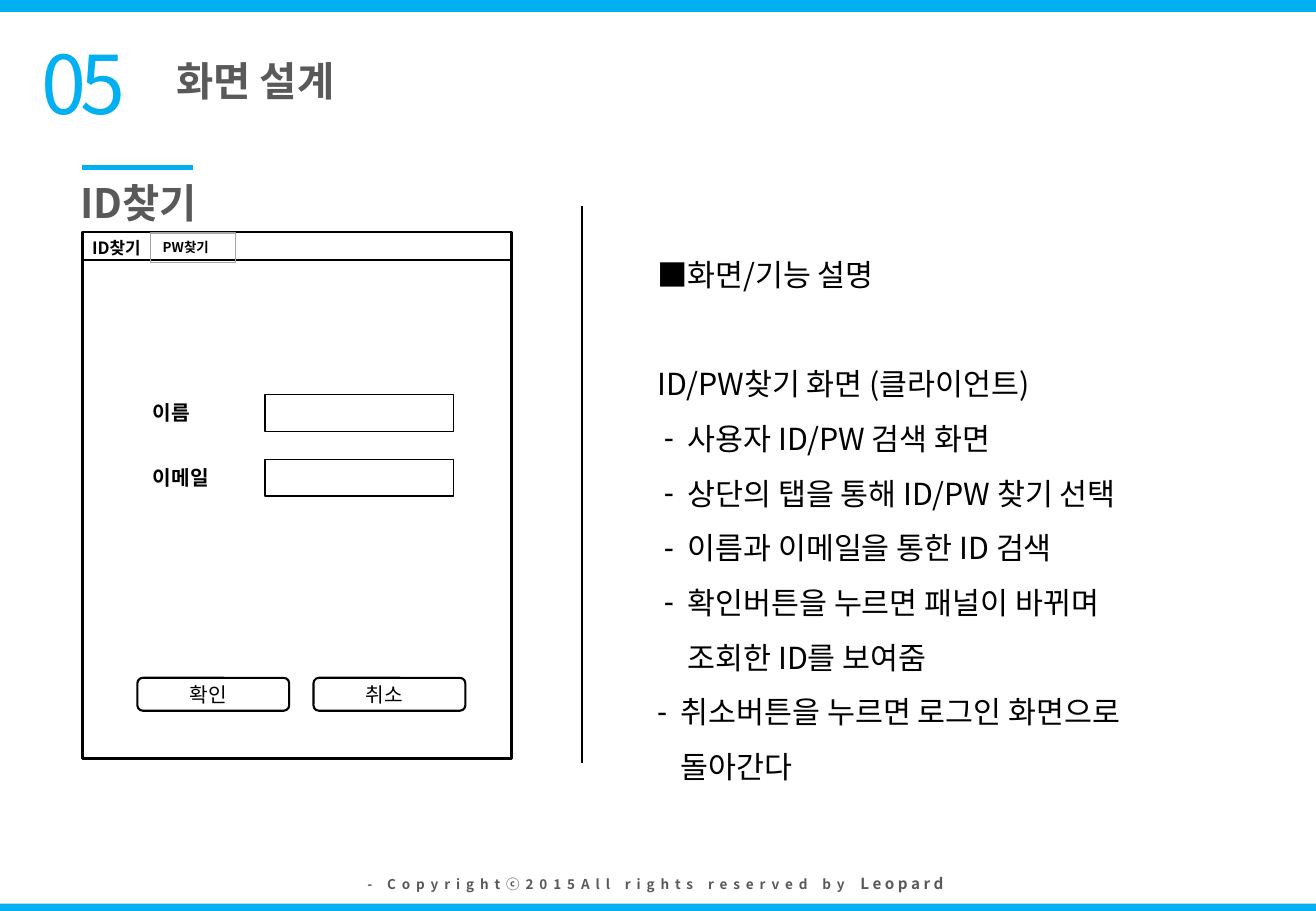
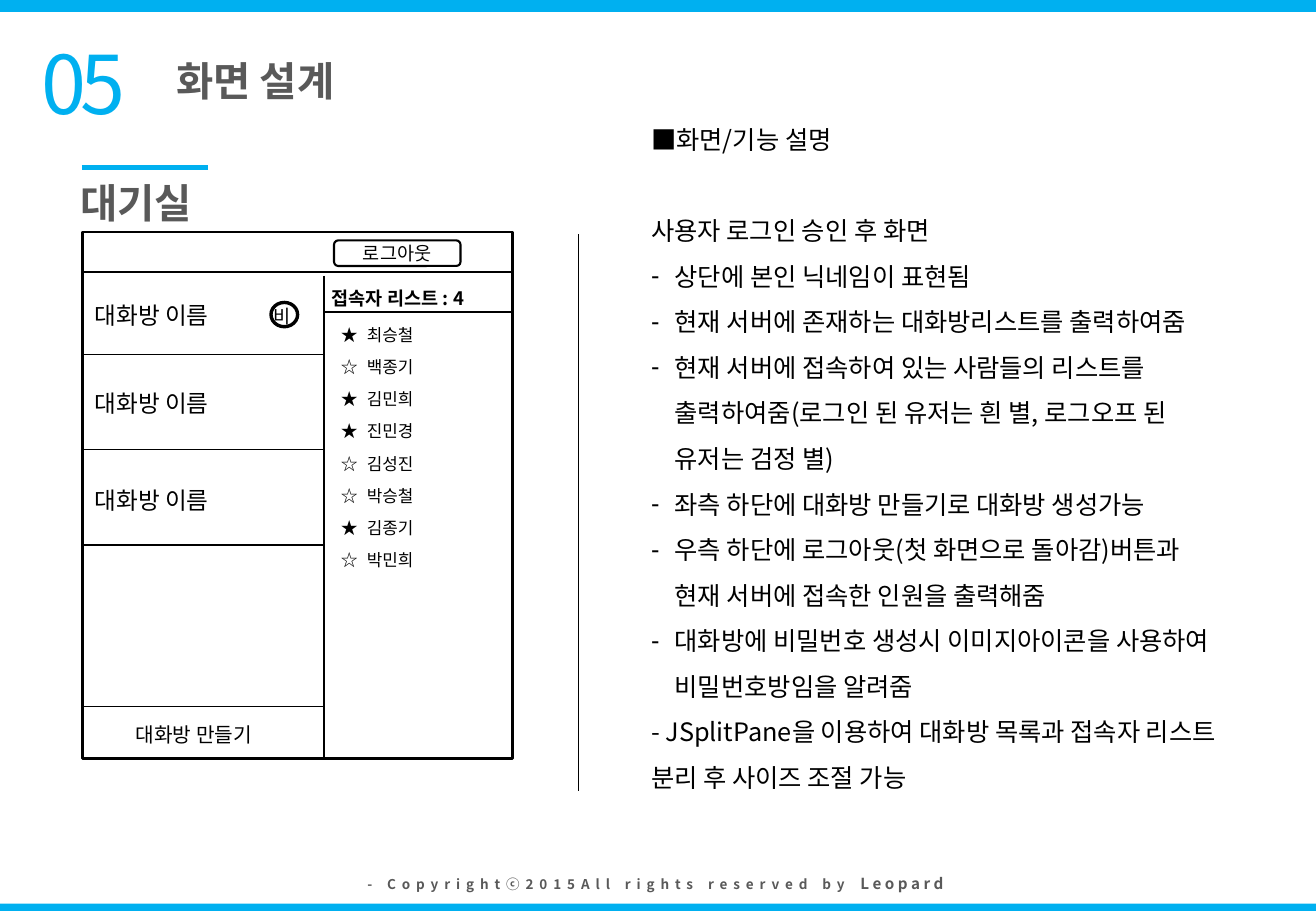
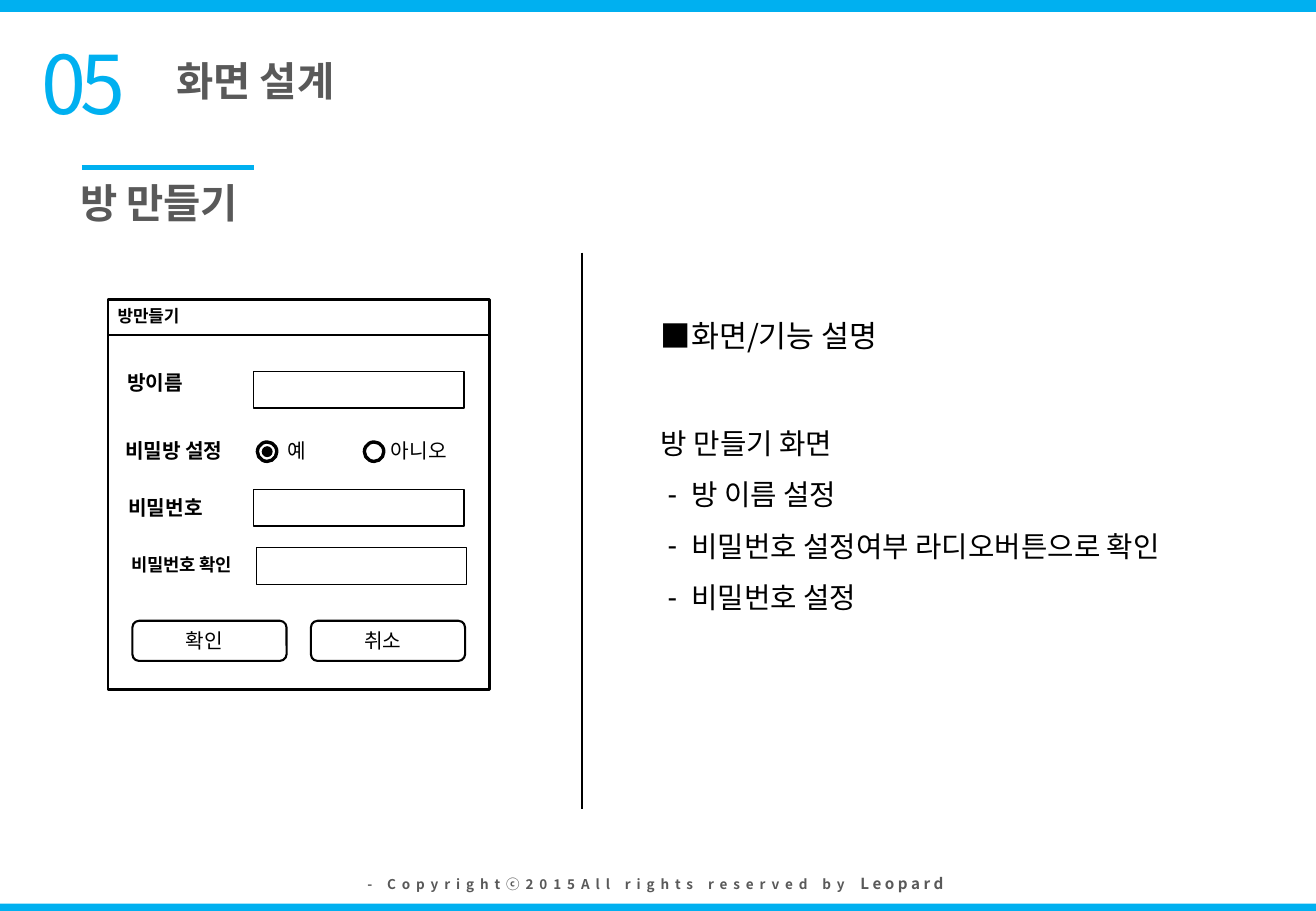
from lxml import etree
from pptx import Presentation
from pptx.dml.color import RGBColor
from pptx.enum.shapes import MSO_CONNECTOR, MSO_SHAPE
from pptx.enum.text import MSO_ANCHOR, MSO_AUTO_SIZE, PP_ALIGN
from pptx.oxml.ns import qn
from pptx.util import Pt

RECT, ROUND, OVAL = MSO_SHAPE.RECTANGLE, MSO_SHAPE.ROUNDED_RECTANGLE, MSO_SHAPE.OVAL
STRAIGHT = MSO_CONNECTOR.STRAIGHT
LEFT, CENTER = PP_ALIGN.LEFT, PP_ALIGN.CENTER
TOP, MIDDLE = MSO_ANCHOR.TOP, MSO_ANCHOR.MIDDLE
NO_AUTOFIT = MSO_AUTO_SIZE.NONE

FONT = "Noto Sans CJK KR"
COLORS = {"accent": "00B0F0", "heading": "595959", "ink": "000000",
          "paper": "FFFFFF", "tab": "A6A6A6"}
SLIDE_W, SLIDE_H = 780, 540
INSETS, WIDE_INSETS = (7.2, 3.6), (8.6, 4.3)
LINE_SPACING = 1.5
BLANK_LINE = 1.8  # height of a skipped line, in font sizes

SECTION_NUMBER, SECTION = "05", "화면 설계"
COPYRIGHT, TEAM = "- Copyrightⓒ2015All rights reserved by ", "L e o p a r d"
NOTES_HEADING = "■화면/기능 설명"

# Kinds of explanation line: left margin and hanging indent
MARGINS = {"plain": (0, 0), "dash": (14, -14), "inner dash": (18, -14)}

FIND_ID_NOTES = [
    ("plain", "ID/PW찾기 화면 (클라이언트)"),
    ("inner dash", "사용자 ID/PW 검색 화면"),
    ("inner dash", "상단의 탭을 통해 ID/PW 찾기 선택"),
    ("inner dash", "이름과 이메일을 통한 ID 검색"),
    ("inner dash", "확인버튼을 누르면 패널이 바뀌며\v조회한 ID를 보여줌"),
    ("dash", "취소버튼을 누르면 로그인 화면으로\v돌아간다"),
]
LOBBY_NOTES = [
    ("plain", "사용자 로그인 승인 후 화면"),
    ("dash", "상단에 본인 닉네임이 표현됨"),
    ("dash", "현재 서버에 존재하는 대화방리스트를 출력하여줌"),
    ("dash", "현재 서버에 접속하여 있는 사람들의 리스트를 출력하여줌"
             "(로그인 된 유저는 흰 별, 로그오프 된 유저는 검정 별)"),
    ("dash", "좌측 하단에 대화방 만들기로 대화방 생성가능"),
    ("dash", "우측 하단에 로그아웃(첫 화면으로 돌아감)버튼과 "
             "현재 서버에 접속한 인원을 출력해줌"),
    ("dash", "대화방에 비밀번호 생성시 이미지아이콘을 사용하여 "
             "비밀번호방임을 알려줌"),
    ("plain", "- JSplitPane을 이용하여 대화방 목록과 접속자 리스트 "
              "분리 후 사이즈 조절 가능"),
]
NEW_ROOM_NOTES = [
    ("plain", "방 만들기 화면"),
    ("inner dash", "방 이름 설정"),
    ("inner dash", "비밀번호 설정여부 라디오버튼으로 확인"),
    ("inner dash", "비밀번호 설정"),
]
USERS = [("★", "최승철"), ("☆", "백종기"), ("★", "김민희"), ("★", "진민경"),
         ("☆", "김성진"), ("☆", "박승철"), ("★", "김종기"), ("☆", "박민희")]
BUTTONS = ["확인", "취소"]


def rgb(name):
    return RGBColor.from_string(COLORS[name])


def add_run(paragraph, text, size, color="ink", spacing=None, **font):
    run = paragraph.add_run()
    run.text = text
    values = {"name": FONT, "size": Pt(size), "bold": False, **font}
    for key, value in values.items():
        setattr(run.font, key, value)
    run.font.color.rgb = rgb(color)
    props = run.font._element
    etree.SubElement(props, qn("a:ea")).set("typeface", FONT)
    if spacing is not None:
        props.set("spc", str(int(spacing * 100)))


def set_frame(shape, insets=INSETS, anchor=TOP):
    side, end = (Pt(inset) for inset in insets)
    frame = shape.text_frame
    values = {"word_wrap": True, "auto_size": NO_AUTOFIT, "vertical_anchor": anchor,
              "margin_left": side, "margin_right": side,
              "margin_top": end, "margin_bottom": end}
    for key, value in values.items():
        setattr(frame, key, value)
    return frame


def place(shape, left, top, width, height):
    shape.left, shape.top = Pt(left), Pt(top)
    shape.width, shape.height = Pt(width), Pt(height)


def add_label(slide, text, left, top, width, size=12, insets=INSETS,
              line_spacing=None, **style):
    box = slide.shapes.add_textbox(Pt(left), Pt(top), Pt(width), Pt(size * 1.8))
    paragraph = set_frame(box, insets).paragraphs[0]
    paragraph.line_spacing = line_spacing
    add_run(paragraph, text, size, **style)


def add_box(slide, kind, left, top, width, height, fill=None, line="ink", weight=0.75):
    box = slide.shapes.add_shape(kind, Pt(left), Pt(top), Pt(width), Pt(height))
    box.shadow.inherit = False
    if fill:
        box.fill.solid()
        box.fill.fore_color.rgb = rgb(fill)
    else:
        box.fill.background()
    if line:
        box.line.color.rgb = rgb(line)
        box.line.width = Pt(weight)
    else:
        box.line.fill.background()
    return box


def add_rule(slide, x1, y1, x2, y2, weight=0.75, color="ink"):
    rule = slide.shapes.add_connector(STRAIGHT, Pt(x1), Pt(y1), Pt(x2), Pt(y2))
    rule.line.color.rgb = rgb(color)
    rule.line.width = Pt(weight)
    etree.SubElement(rule._element.spPr, qn("a:effectLst"))


def add_button(slide, text, *place_at, size=12, shift=0):
    """Rounded button; shift moves its centred text to the left."""
    button = add_box(slide, ROUND, *place_at, fill="paper", weight=1.25)
    frame = set_frame(button, (0, 0), MIDDLE)
    frame.margin_right = Pt(2 * shift)
    frame.paragraphs[0].alignment = CENTER
    add_run(frame.paragraphs[0], text, size)


def add_button_row(slide, left, top, width, height, pitch):
    for i, text in enumerate(BUTTONS):
        add_button(slide, text, left + i * pitch, top, width, height, shift=3)


def add_window(slide, left, top, width, height, bar):
    """Window frame with a title bar of the given height."""
    add_box(slide, RECT, left, top, width, height, fill="paper", weight=1.75)
    add_rule(slide, left, top + bar, left + width, top + bar, 1.25)


def draw_find_id(slide):
    add_window(slide, 49, 137.5, 254, 312, 16.6)
    add_label(slide, "ID찾기", 47.5, 137.5, 50, 10, bold=True)
    pw_tab = add_box(slide, RECT, 89.3, 138.2, 50.4, 17.3, line="tab")
    pw_text = set_frame(pw_tab).paragraphs[0]
    pw_text.alignment = LEFT
    add_run(pw_text, "PW찾기", 8, bold=True)
    for i, field in enumerate(["이름", "이메일"]):
        top = 234 + 38.2 * i
        add_label(slide, field, 83.5, top, 73, bold=True)
        add_box(slide, RECT, 157, top, 112, 21.8)
    add_button_row(slide, 81.4, 401.8, 90, 19.5, 104.4)


def draw_lobby(slide):
    left, right, split, bottom = 49, 304, 192, 449.5
    add_window(slide, left, 137.5, right - left, 312, 24)
    add_button(slide, "로그아웃", 198, 142.5, 75, 15.2, size=11)
    add_rule(slide, split, 163.5, split, bottom)

    for i, label_top in enumerate([175, 227, 284.5]):
        divider = 210 + 56.5 * i
        add_label(slide, "대화방 이름", left, label_top, 124, 14)
        add_rule(slide, left, divider, split, divider)
    add_box(slide, OVAL, 160.6, 179.3, 15.8, 14.4, fill="paper", weight=2)
    add_label(slide, "비", 154.8, 177, 31, 11)
    add_rule(slide, left, 419, split, 419)
    add_label(slide, "대화방 만들기", 73.4, 424.8, 100)

    add_label(slide, "접속자 리스트 : 4", 189.4, 166.3, 105, 11, bold=True)
    add_rule(slide, split, 185, right, 185)
    for i, (star, user) in enumerate(USERS):
        add_user(slide, star, user, split + 3, 188.8 + 19.1 * i)


def add_user(slide, star, user, left, top):
    """Star, name and a short underlined gap, set out with tab stops."""
    box = slide.shapes.add_textbox(Pt(left), Pt(top), Pt(81), Pt(16.6))
    line = set_frame(box).paragraphs[0]
    stops = etree.SubElement(line._p.get_or_add_pPr(), qn("a:tabLst"))
    for position in (15.4, 59):
        stop = etree.SubElement(stops, qn("a:tab"))
        stop.set("pos", str(Pt(position)))
        stop.set("algn", "l")
    add_run(line, f"{star}\t{user}", 10)
    add_run(line, "\t", 10, underline=True)


def draw_new_room(slide):
    add_window(slide, 64, 177.8, 226, 231, 21)
    add_label(slide, "방만들기", 62.6, 177.8, 70, 10, bold=True)
    fields = [("방이름", 68.4, 216, 12), ("비밀방 설정", 67, 256.3, 12),
              ("비밀번호", 69, 290.2, 12), ("비밀번호 확인", 70.6, 324.7, 10.5)]
    for text, left, top, size in fields:
        add_label(slide, text, left, top, 85, size, bold=True)
    for left, top in [(150.5, 220.3), (150.5, 290.2), (152, 324.7)]:
        add_box(slide, RECT, left, top, 124.6, 21.6)
    for text, circle_left, text_left in [("예", 152.6, 163.4), ("아니오", 216, 224.6)]:
        add_box(slide, OVAL, circle_left, 262, 11.5, 11.5, weight=2)
        add_label(slide, text, text_left, 256.3, 62)
    add_box(slide, OVAL, 155.1, 264.5, 6.5, 6.5, fill="ink", line=None)
    add_button_row(slide, 78.5, 368, 91.4, 23.8, 105.8)


def add_common(slide, subtitle, accent_end):
    """Page, section heading, copyright line and screen name."""
    page = add_box(slide, RECT, 0, 7.2, SLIDE_W, 528.5, fill="paper", line=None)
    slide.shapes._spTree.insert(2, page._element)

    title = slide.shapes.title
    place(title, 95.8, 14.4, 283, 46.8)
    section = set_frame(title, WIDE_INSETS).paragraphs[0]
    section.alignment, section.line_spacing = LEFT, LINE_SPACING
    heading = {"size": 24, "color": "heading", "bold": True}
    add_run(section, SECTION, **heading)
    add_label(slide, SECTION_NUMBER, 15.8, 15.8, 128, 48, WIDE_INSETS,
              color="accent", spacing=-3.5)

    footer = slide.shapes.add_textbox(Pt(179.3), Pt(514), Pt(418.3), Pt(19.4))
    line = set_frame(footer, WIDE_INSETS).paragraphs[0]
    line.alignment = CENTER
    add_run(line, COPYRIGHT, 8, "heading", 3.5, bold=True)
    add_run(line, TEAM, 9, "heading", 0, bold=True)

    add_label(slide, subtitle, 38.9, 87.1, 283, insets=WIDE_INSETS,
              line_spacing=LINE_SPACING, **heading)
    add_rule(slide, 48.5, 99.4, accent_end, 99.4, 3, "accent")


def add_notes_column(slide, at, heading_size, size, lines):
    body = slide.placeholders[1]
    place(body, *at)
    frame = set_frame(body)
    for i, (kind, text) in enumerate([("plain", NOTES_HEADING), *lines]):
        paragraph = frame.paragraphs[0] if i == 0 else frame.add_paragraph()
        props = paragraph._p.get_or_add_pPr()
        margin, indent = MARGINS[kind]
        props.set("marL", str(Pt(margin)))
        props.set("indent", str(Pt(indent)))
        if kind == "plain":
            etree.SubElement(props, qn("a:buNone"))
        else:
            etree.SubElement(props, qn("a:buChar")).set("char", "-")
        paragraph.alignment, paragraph.line_spacing = LEFT, LINE_SPACING
        paragraph.space_before = Pt(BLANK_LINE * heading_size if i == 1 else 0)
        for j, part in enumerate(text.split("\v")):
            if j:
                paragraph.add_line_break()
            add_run(paragraph, part, size if i else heading_size)


SCREENS = [
    {"subtitle": "ID찾기", "accent_end": 114.5, "divider": (345, 122.4),
     "notes": ((382.3, 137.5, 335, 334), 18, 18, FIND_ID_NOTES), "draw": draw_find_id},
    {"subtitle": "대기실", "accent_end": 123, "divider": (342.7, 139),
     "notes": ((378.7, 61.2, 357, 416), 15, 15, LOBBY_NOTES), "draw": draw_lobby},
    {"subtitle": "방 만들기", "accent_end": 150.5, "divider": (345, 149.8),
     "notes": ((384.5, 173.5, 359, 196.6), 18, 17, NEW_ROOM_NOTES), "draw": draw_new_room},
]


def main():
    prs = Presentation()
    prs.slide_width, prs.slide_height = Pt(SLIDE_W), Pt(SLIDE_H)
    background = prs.slide_master.background.fill
    background.solid()
    background.fore_color.rgb = rgb("accent")
    for screen in SCREENS:
        slide = prs.slides.add_slide(prs.slide_layouts[1])
        add_common(slide, screen["subtitle"], screen["accent_end"])
        add_notes_column(slide, *screen["notes"])
        x, top = screen["divider"]
        add_rule(slide, x, top, x, top + 329.8)
        screen["draw"](slide)
    prs.save("out.pptx")


if __name__ == "__main__":
    main()
